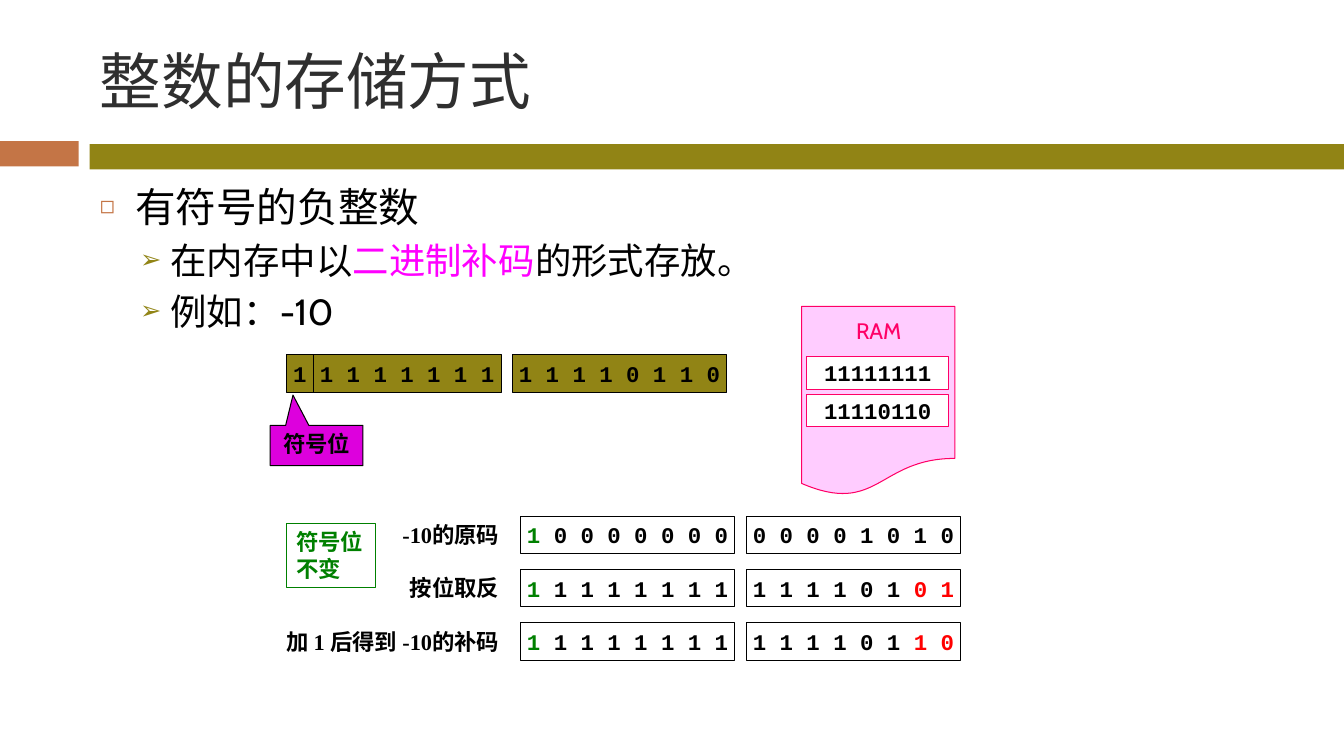
"""Build a slide on how negative integers are stored in two's complement."""
import pptx
import pptx.util
import pptx.dml.color
import pptx.enum.shapes
import pptx.enum.text
import pptx.oxml.ns
import lxml.etree
from dataclasses import dataclass

TITLE = "整数的存储方式"
LIST = [
    (0, [("有符号的负整数", "ink")]),
    (1, [("在内存中以", "ink"), ("二进制补码", "pink"), ("的形式存放。", "ink")]),
    (1, [("例如：-10", "ink")]),
]
WORD = ["1 1 1 1 1 1 1 1", "1 1 1 1 0 1 1 0"]
STEPS = [
    ("-10的原码", [("1", "green"), (" 0 0 0 0 0 0 0", "ink")],
     [("0 0 0 0 1 0 1 0", "ink")]),
    ("按位取反", [("1", "green"), (" 1 1 1 1 1 1 1", "ink")],
     [("1 1 1 1 0 1 ", "ink"), ("0 1", "red")]),
    ("加 1 后得到 -10的补码", [("1", "green"), (" 1 1 1 1 1 1 1", "ink")],
     [("1 1 1 1 0 1 ", "ink"), ("1 0", "red")]),
]
CELLS = ["11111111", "11110110"]
SIGN, KEEP, RAM = "符号位", "符号位不变", "RAM"


@dataclass
class Theme:
    """Colours, fonts and type sizes."""
    ink = "000000"
    head = "2F2F2F"
    olive = "918415"
    rust = "C47546"
    pink = "FF00FF"
    plum = "DD00DD"
    green = "008000"
    red = "FF0000"
    white = "FFFFFF"
    rose = "FF0066"
    blush = "FFCCFF"
    sans = "Cabin"
    hand = "Comic Neue"
    mono = "Courier New"
    serif = "Times New Roman"
    big = 44
    small = 16
    line = 0.75


LEVELS = [
    {"size": 29, "font": "hand", "left": 0.35, "hang": 0.35, "mark": "◻",
     "tint": "rust", "part": 60},
    {"size": 26, "font": "sans", "left": 0.7, "hang": 0.3, "mark": "➢",
     "tint": "olive", "part": 70},
]
WIDE, HIGH = 13.33, 7.5
EDGE, SPAN = 0.89, 11.89
BYTE, STEP = 2.13, 2.24
TALL, ROW = 0.37, 0.53
LEFT, TOP = 2.84, 3.52
GRID, BASE = 5.16, 5.12
MEM, SLOT = 8, 3.54

Kind = pptx.enum.shapes.MSO_SHAPE
Align = pptx.enum.text.PP_ALIGN
Anchor = pptx.enum.text.MSO_ANCHOR
Fit = pptx.enum.text.MSO_AUTO_SIZE
inch, pt = pptx.util.Inches, pptx.util.Pt

deck = pptx.Presentation()
deck.slide_width, deck.slide_height = inch(WIDE), inch(HIGH)
page = deck.slides.add_slide(deck.slide_layouts[1])


def tone(name):
    """Return the theme colour of that name."""
    return pptx.dml.color.RGBColor.from_string(getattr(Theme, name))


def apply(item, values):
    """Set each attribute named in a dict."""
    for name, value in values.items():
        setattr(item, name, value)


def place(shape, box):
    """Move and size a shape in inches."""
    apply(shape, dict(zip(("left", "top", "width", "height"), map(inch, box))))


def write(para, runs, font, size, bold=False):
    """Add coloured runs to a paragraph."""
    for text, ink in runs:
        run = para.add_run()
        run.text = text
        apply(run.font, {"name": getattr(Theme, font), "size": pt(size), "bold": bold})
        run.font.color.rgb = tone(ink)


def draw(box, fill, line=None, kind=Kind.RECTANGLE):
    """Add a flat shape."""
    shape = page.shapes.add_shape(kind, *map(inch, box))
    shape.shadow.inherit = False
    shape.fill.solid()
    shape.fill.fore_color.rgb = tone(fill)
    if line:
        shape.line.color.rgb = tone(line)
        shape.line.width = pt(Theme.line)
    else:
        shape.line.fill.background()
    return shape


def label(shape, runs, font, bold=True, align=Align.CENTER, anchor=Anchor.TOP, wrap=True):
    """Put small text in a shape."""
    frame = shape.text_frame
    apply(frame, {"word_wrap": wrap, "vertical_anchor": anchor, "auto_size": Fit.NONE})
    para = frame.paragraphs[0]
    para.alignment = align
    write(para, runs, font, Theme.small, bold)


def bits(box, runs, fill="white", line="ink"):
    """Add a box of binary digits."""
    label(draw(box, fill, line), runs, "mono", anchor=Anchor.MIDDLE, wrap=False)


def bullet(para, look):
    """Give a paragraph its indent and bullet."""
    props = para._p.get_or_add_pPr()
    props.set("marL", str(inch(look["left"])))
    props.set("indent", str(-inch(look["hang"])))
    qn = pptx.oxml.ns.qn
    tint = lxml.etree.SubElement(props, qn("a:buClr"))
    lxml.etree.SubElement(tint, qn("a:srgbClr"), val=getattr(Theme, look["tint"]))
    lxml.etree.SubElement(props, qn("a:buSzPct"), val=str(look["part"] * 1000))
    lxml.etree.SubElement(props, qn("a:buChar"), char=look["mark"])


def outline():
    """Fill the title, list and bars."""
    draw((0, 1.4, 0.78, 0.25), "rust")
    draw((EDGE, 1.43, WIDE - EDGE, 0.25), "olive")
    title, body = page.shapes.title, page.placeholders[1]
    place(title, (EDGE, 0.25, SPAN, 1.08))
    place(body, (EDGE, 1.75, SPAN, 4.92))
    for shape, anchor in ((title, Anchor.MIDDLE), (body, Anchor.TOP)):
        apply(shape.text_frame, {"word_wrap": True, "auto_size": Fit.NONE,
                                 "vertical_anchor": anchor})
    para = title.text_frame.paragraphs[0]
    para.alignment = Align.LEFT
    write(para, [(TITLE, "head")], "sans", Theme.big)
    frame = body.text_frame
    for num, (level, runs) in enumerate(LIST):
        para = frame.add_paragraph() if num else frame.paragraphs[0]
        look = LEVELS[level]
        apply(para, {"level": level, "space_before": pt(5.5 if num else 0)})
        bullet(para, look)
        write(para, runs, look["font"], look["size"])


def word():
    """Draw the two bytes and the sign callout."""
    note = draw((2.68, 4.22, 0.92, 0.4), "plum", "ink", Kind.RECTANGULAR_CALLOUT)
    note.adjustments[0], note.adjustments[1] = -0.254, -1.25
    label(note, [(SIGN, "ink")], "serif")
    for col, text in enumerate(WORD):
        bits((LEFT + col * STEP, TOP, BYTE, TALL), [(text, "ink")], "olive")
    split = LEFT + BYTE / 8
    rule = page.shapes.add_connector(
        pptx.enum.shapes.MSO_CONNECTOR.STRAIGHT,
        *map(inch, (split, TOP, split, TOP + TALL)))
    rule.line.color.rgb = tone("ink")
    rule.line.width = pt(Theme.line)
    lxml.etree.SubElement(rule._element.spPr, pptx.oxml.ns.qn("a:effectLst"))


def memory():
    """Draw the memory sheet."""
    draw((7.95, 3.04, 1.52, 1.88), "blush", "rose", Kind.FLOWCHART_DOCUMENT)
    for row, text in enumerate(CELLS):
        bits((MEM, SLOT + row * TALL, 1.41, 0.32), [(text, "ink")], line="rose")
    label(draw((8.14, 3.1, 1.15, TALL), "blush"), [(RAM, "rose")], "sans", bold=False)


def steps():
    """Draw the three steps of the conversion."""
    for row, (name, *pair) in enumerate(STEPS):
        top = BASE + row * ROW
        text = page.shapes.add_textbox(*map(inch, (2.6, top, 2.45, TALL)))
        label(text, [(name, "ink")], "serif", align=Align.RIGHT)
        for col, runs in enumerate(pair):
            bits((GRID + col * STEP, top, BYTE, TALL), runs)
    label(draw((LEFT, 5.19, 0.88, 0.64), "white", "green"), [(KEEP, "green")],
          "mono", align=Align.LEFT)


if __name__ == "__main__":
    outline()
    word()
    memory()
    steps()
    deck.save("out.pptx")
